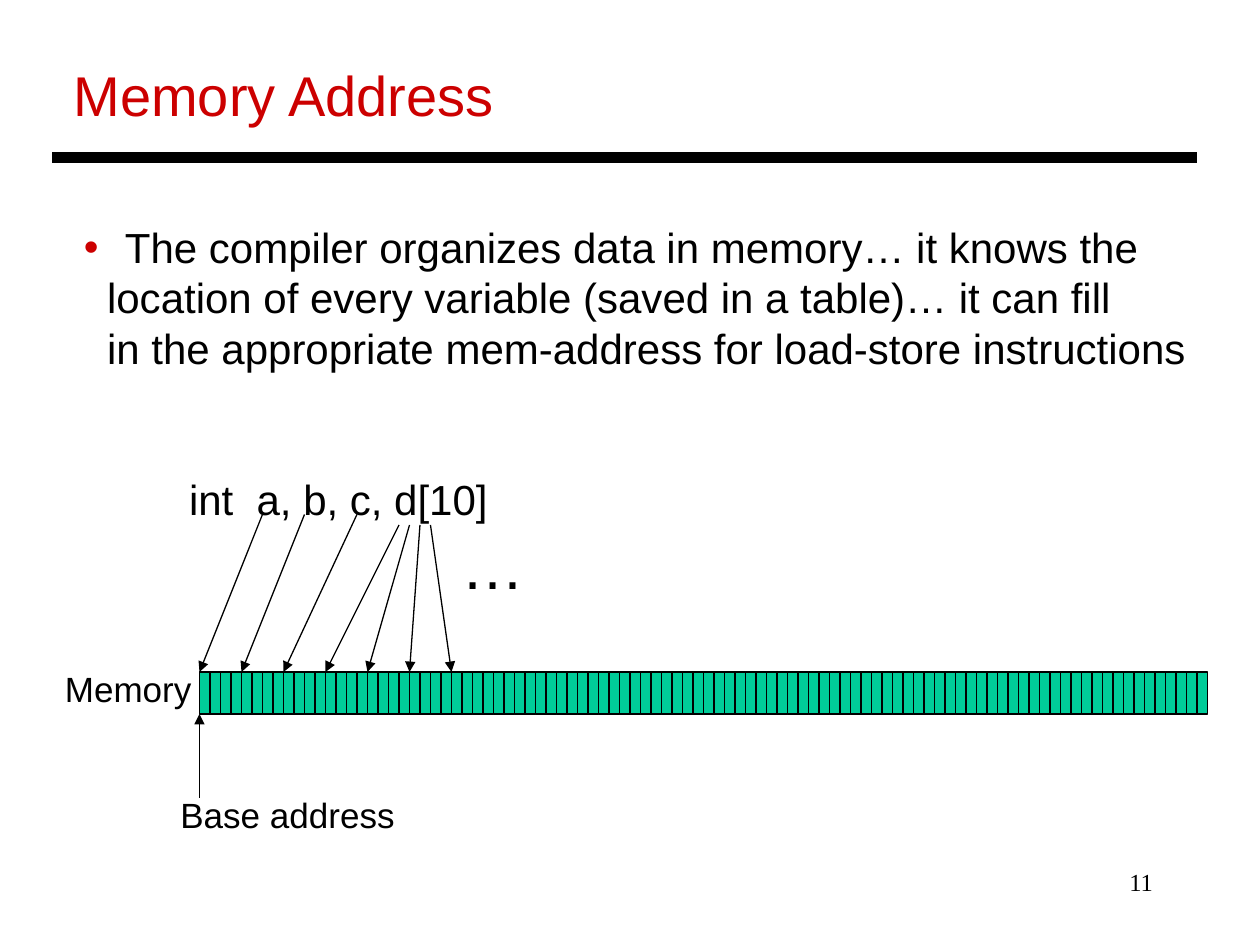
"""Build the Memory Address slide."""
from lxml import etree
from pptx import Presentation
from pptx import util as u
from pptx.dml.color import RGBColor
from pptx.enum import shapes, text
from pptx.oxml import ns

PX = 7620
BLACK = RGBColor(0x00, 0x00, 0x00)
RED = RGBColor(0xCC, 0x00, 0x00)
GREEN = RGBColor(0x00, 0xCC, 0x99)

CELL_W, CELL_H, CELLS = 10, 40, 96
MEM_X, MEM_Y = 190, 640
WORD_W = 4 * CELL_W
VARIABLES = [(250, 490), (290, 490), (340, 490),
             (380, 500), (390, 500), (400, 500), (410, 500)]
BODY = [
    ("The compiler organizes data in memory… it knows the", 39, 0),
    ("location of every variable (saved in a table)… it can fill", 22, 0),
    ("in the appropriate mem-address for load-store instructions", 22, 0),
    ("int  a, b, c, d[10]", 100, 57.6),
]


def px(*values):
    return [u.Emu(v * PX) for v in values]


def place(sp, box):
    sp.left, sp.top, sp.width, sp.height = px(*box)


def style_frame(tf, wrap=False):
    tf.word_wrap = wrap
    tf.auto_size = text.MSO_AUTO_SIZE.NONE
    tf.vertical_anchor = text.MSO_ANCHOR.TOP
    tf.margin_left = tf.margin_right = px(12)[0]
    tf.margin_top = tf.margin_bottom = px(6)[0]


def style_paragraph(p, size, color=BLACK, font="Arial", align=text.PP_ALIGN.LEFT):
    p.alignment = align
    for r in p.runs:
        r.font.size = u.Pt(size)
        r.font.name = font
        r.font.color.rgb = color


def set_bullet(p, left, char=None):
    pPr = p._p.get_or_add_pPr()
    pPr.set("marL", str(left * PX))
    pPr.set("indent", str(-left * PX if char else 0))
    if not char:
        etree.SubElement(pPr, ns.qn("a:buNone"))
        return
    clr = etree.SubElement(pPr, ns.qn("a:buClr"))
    etree.SubElement(clr, ns.qn("a:srgbClr"), val=str(RED))
    etree.SubElement(pPr, ns.qn("a:buFont"), typeface="Arial")
    etree.SubElement(pPr, ns.qn("a:buChar"), char=char)


def add_title(s, title, box):
    sp = s.shapes.title
    place(sp, box)
    sp.text_frame.text = title
    style_frame(sp.text_frame)
    style_paragraph(sp.text_frame.paragraphs[0], 32, RED)


def add_body(s, lines, box):
    sp = s.placeholders[1]
    place(sp, box)
    tf = sp.text_frame
    tf.text = "\n".join(line for line, _, _ in lines)
    style_frame(tf)
    tf.margin_right = 0
    for i, (p, (_, left, before)) in enumerate(zip(tf.paragraphs, lines)):
        set_bullet(p, left, None if i else "•")
        p.space_before = u.Pt(before)
        style_paragraph(p, 24)


def add_label(s, label, box, size, wrap=False, **style):
    tf = s.shapes.add_textbox(*px(*box)).text_frame
    tf.text = label
    style_frame(tf, wrap)
    style_paragraph(tf.paragraphs[0], size, **style)


def add_line(s, start, end, width=0.75, arrow=True):
    sp = s.shapes.add_connector(shapes.MSO_CONNECTOR.STRAIGHT, *px(*start, *end))
    sp.line.color.rgb = BLACK
    sp.line.width = u.Pt(width)
    if arrow:
        etree.SubElement(sp.line._get_or_add_ln(), ns.qn("a:tailEnd"), type="triangle")
    etree.SubElement(sp._element.spPr, ns.qn("a:effectLst"))


def add_cell(s, x):
    sp = s.shapes.add_shape(shapes.MSO_SHAPE.RECTANGLE, *px(x, MEM_Y, CELL_W, CELL_H))
    sp.shadow.inherit = False
    sp.fill.solid()
    sp.fill.fore_color.rgb = GREEN
    sp.line.color.rgb = BLACK
    sp.line.width = u.Pt(0.75)


def main():
    prs = Presentation()
    prs.slide_width, prs.slide_height = px(1200, 900)
    s = prs.slides.add_slide(prs.slide_layouts[1])
    add_title(s, "Memory Address", (58, 52, 427, 77))
    add_body(s, BODY, (68, 205, 1073, 300))
    add_label(s, "11", (860, 820, 250, 60), 14, wrap=True,
              font="Times New Roman", align=text.PP_ALIGN.RIGHT)
    add_line(s, (50, 150), (1140, 150), width=6, arrow=False)
    for i in range(CELLS):
        add_cell(s, MEM_X + i * CELL_W)
    add_label(s, "Memory", (50, 630, 144, 53), 20)
    for i, start in enumerate(VARIABLES):
        add_line(s, start, (MEM_X + i * WORD_W, MEM_Y))
    add_label(s, "…", (428, 496, 84, 84), 36)
    add_line(s, (MEM_X, 760), (MEM_X, MEM_Y + CELL_H))
    add_label(s, "Base address", (160, 750, 228, 53), 20)
    prs.save("out.pptx")


if __name__ == "__main__":
    main()
